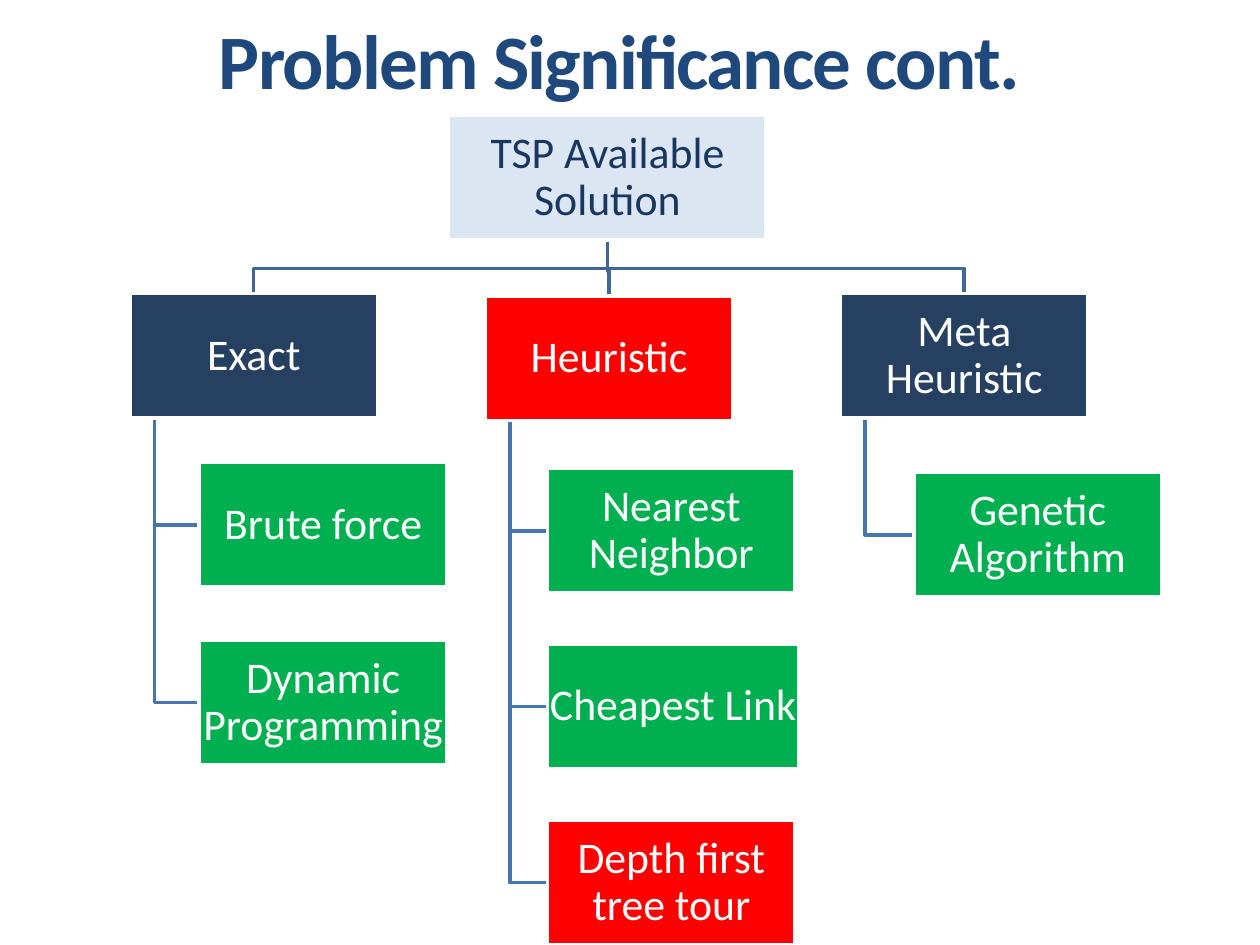
from pptx import Presentation
from pptx.dml.color import RGBColor
from pptx.enum.shapes import MSO_SHAPE
from pptx.enum.text import MSO_ANCHOR, PP_ALIGN
from pptx.util import Pt

RECTANGLE = MSO_SHAPE.RECTANGLE
MIDDLE = MSO_ANCHOR.MIDDLE
CENTER = PP_ALIGN.CENTER

COLORS = {
    "title": "1F497D",
    "root": "DCE6F2",
    "root_text": "17375E",
    "branch": "254061",
    "method": "00B050",
    "chosen": "FF0000",
    "white": "FFFFFF",
    "bus": "3F6797",
    "stem": "4875AC",
}

BOX_WIDTH, BOX_HEIGHT = 141.6, 71.2
ROOT_LEFT, ROOT_TOP, ROOT_WIDTH = 256.4, 66, 181.4
BUS_RISE = 14.4
STEM_INSET = BOX_WIDTH / 10
FIRST_BRANCH_LEFT, BRANCH_STEP = 74.2, 203

BRANCHES = [
    ("Exact", "branch", 167.8, 113.8, [
        ("Brute force", "method", 264.4, BOX_WIDTH),
        ("Dynamic Programming", "method", 366, BOX_WIDTH),
    ]),
    ("Heuristic", "chosen", 169.2, 312.8, [
        ("Nearest Neighbor", "method", 267.8, BOX_WIDTH),
        ("Cheapest Link", "method", 368.2, 143.4),
        ("Depth first tree tour", "chosen", 468.8, BOX_WIDTH),
    ]),
    ("Meta Heuristic", "branch", 167.8, 522.2, [
        ("Genetic Algorithm", "method", 270, BOX_WIDTH),
    ]),
]


class TreeSlide:
    font_name = "Calibri"
    line_width = 2

    def __init__(self, slide):
        self.slide = slide

    def color(self, key):
        return RGBColor.from_string(COLORS[key])

    def format_paragraph(self, paragraph, size, color, bold=False):
        paragraph.alignment = CENTER
        paragraph.font.name = self.font_name
        paragraph.font.size = Pt(size)
        paragraph.font.bold = bold
        paragraph.font.color.rgb = self.color(color)

    def title(self, text, left, top, width, height):
        heading = self.slide.shapes.title
        heading.left, heading.top = Pt(left), Pt(top)
        heading.width, heading.height = Pt(width), Pt(height)
        frame = heading.text_frame
        frame.text = text
        frame.vertical_anchor = MIDDLE
        paragraph = frame.paragraphs[0]
        self.format_paragraph(paragraph, 44, "title", bold=True)
        paragraph.runs[0].font._element.set("spc", "-100")

    def box(self, text, left, top, width, fill, text_color="white"):
        node = self.slide.shapes.add_shape(
            RECTANGLE, Pt(left), Pt(top), Pt(width), Pt(BOX_HEIGHT))
        node.shadow.inherit = False
        node.fill.solid()
        node.fill.fore_color.rgb = self.color(fill)
        node.line.color.rgb = self.color("white")
        node.line.width = Pt(self.line_width)
        frame = node.text_frame
        frame.word_wrap = True
        frame.vertical_anchor = MIDDLE
        frame.margin_left = frame.margin_right = Pt(1)
        frame.margin_top = frame.margin_bottom = Pt(1)
        frame.text = text
        frame.paragraphs[0].line_spacing = 0.9
        self.format_paragraph(frame.paragraphs[0], 25, text_color)

    def link(self, points, color):
        start, *rest = [(Pt(x), Pt(y)) for x, y in points]
        builder = self.slide.shapes.build_freeform(*start)
        builder.add_line_segments(rest, close=False)
        path = builder.convert_to_shape()
        path.shadow.inherit = False
        path.fill.background()
        path.line.color.rgb = self.color(color)
        path.line.width = Pt(self.line_width)


def main():
    deck = Presentation()
    deck.slide_width, deck.slide_height = Pt(720), Pt(540)
    tree = TreeSlide(deck.slides.add_slide(deck.slide_layouts[5]))
    tree.title("Problem Significance cont.", 72, 6, 564, 55)

    root_x = ROOT_LEFT + ROOT_WIDTH / 2
    root_bottom = ROOT_TOP + BOX_HEIGHT
    lefts = [FIRST_BRANCH_LEFT + BRANCH_STEP * i for i in range(len(BRANCHES))]

    for left, (_, _, top, method_left, methods) in zip(lefts, BRANCHES):
        branch_x = left + BOX_WIDTH / 2
        bus_y = top - BUS_RISE
        tree.link([(root_x, root_bottom), (root_x, bus_y),
                   (branch_x, bus_y), (branch_x, top)], "bus")
        stem_x = left + STEM_INSET
        for _, _, method_top, _ in methods:
            method_y = method_top + BOX_HEIGHT / 2
            tree.link([(stem_x, top + BOX_HEIGHT), (stem_x, method_y),
                       (method_left, method_y)], "stem")

    tree.box("TSP Available Solution", ROOT_LEFT, ROOT_TOP, ROOT_WIDTH,
             "root", "root_text")
    for left, (name, fill, top, method_left, methods) in zip(lefts, BRANCHES):
        tree.box(name, left, top, BOX_WIDTH, fill)
        for method, method_fill, method_top, width in methods:
            tree.box(method, method_left, method_top, width, method_fill)

    deck.save("out.pptx")


if __name__ == "__main__":
    main()
